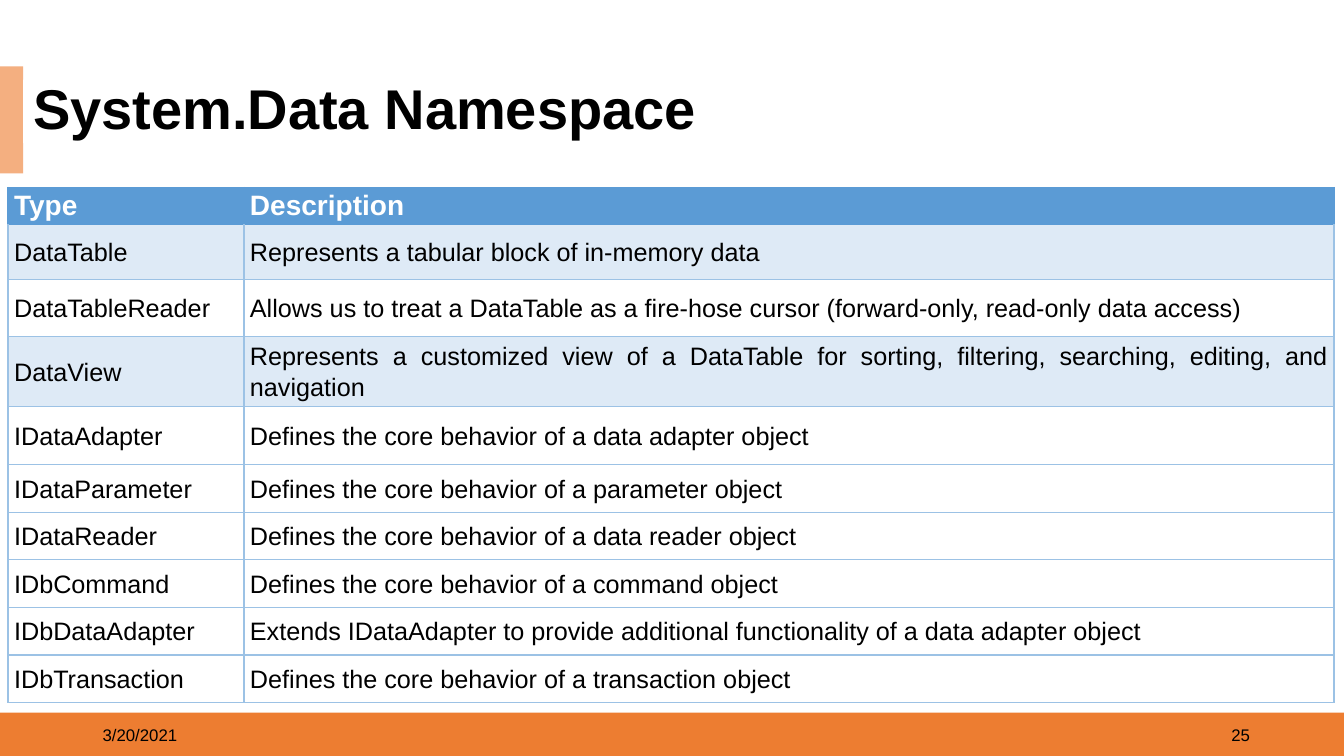
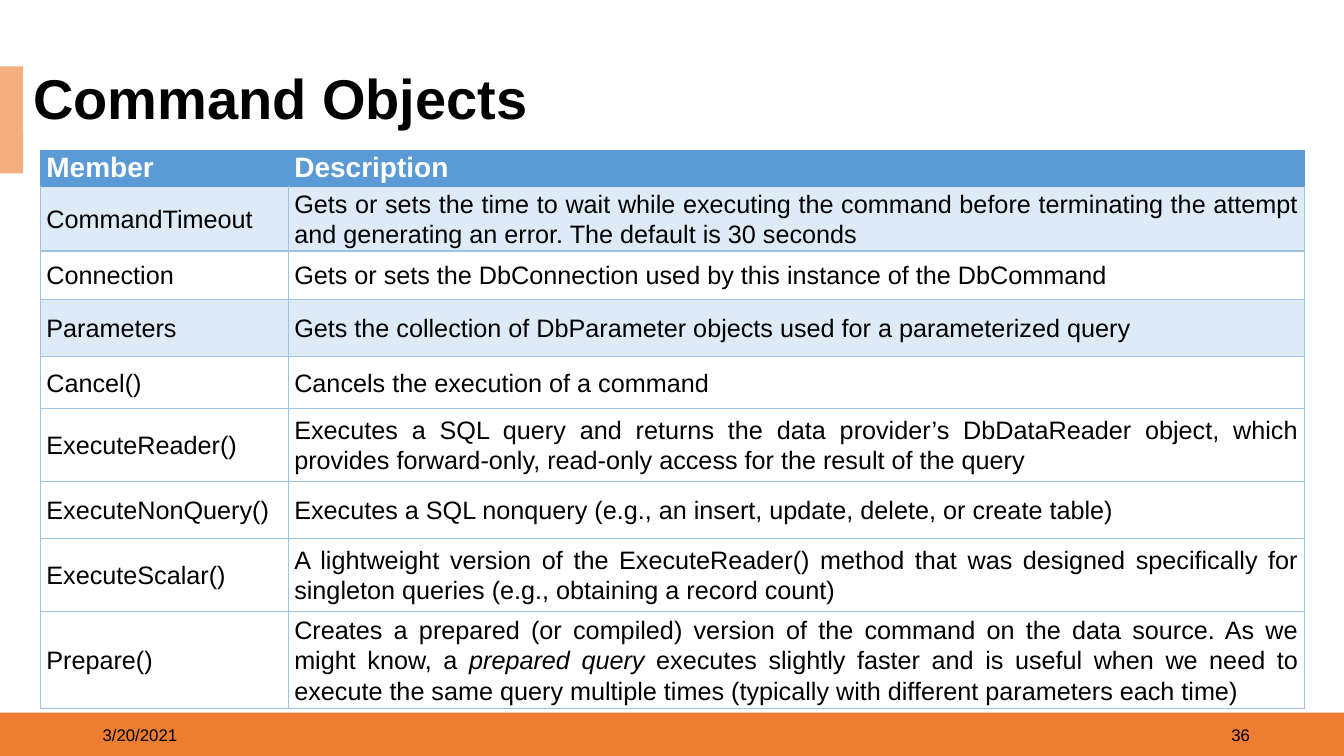
from dataclasses import dataclass

from lxml import etree
from pptx import Presentation
from pptx import util as u
from pptx.dml.color import RGBColor
from pptx.enum import shapes, text
from pptx.oxml import ns


@dataclass(frozen=True)
class Theme:
    font: str = "Arial"
    band: str = "ED7D31"
    accent: str = "F4AF80"
    header: str = "5B9BD5"
    shaded: str = "DEEAF6"
    border: str = "9CC2E5"
    light: str = "FFFFFF"
    dark: str = "000000"
    title_size: int = 40
    header_size: int = 20
    body_size: int = 18
    footer_size: int = 12
    shaded_rows: tuple = (1, 3)


theme = Theme()
presentation = Presentation()
presentation.slide_width = u.Inches(13.33)
presentation.slide_height = u.Inches(7.5)

# All lengths are percentages of the slide's width or height
column = presentation.slide_width / 100
row_unit = presentation.slide_height / 100

# Slide content: row height, name, description (asterisks enclose italics)
pages = [
    dict(
        title="System.Data Namespace", title_top=10.53, number="25",
        left=0.6, top=24.8, widths=(17.55, 81.1),
        rows=[
            (4.93, "Type", "Description"),
            (7.2, "DataTable", "Represents a tabular block of in-memory data"),
            (7.6, "DataTableReader", "Allows us to treat a DataTable as a fire-hose cursor "
             "(forward-only, read-only data access)"),
            (9.2, "DataView", "Represents a customized view of a DataTable for sorting, "
             "filtering, searching, editing, and navigation"),
            (7.73, "IDataAdapter", "Defines the core behavior of a data adapter object"),
            (6.3, "IDataParameter", "Defines the core behavior of a parameter object"),
            (6.3, "IDataReader", "Defines the core behavior of a data reader object"),
            (6.3, "IDbCommand", "Defines the core behavior of a command object"),
            (6.3, "IDbDataAdapter", "Extends IDataAdapter to provide additional "
             "functionality of a data adapter object"),
            (6.3, "IDbTransaction", "Defines the core behavior of a transaction object"),
        ],
    ),
    dict(
        title="Command Objects", title_top=9.2, number="36",
        left=3, top=19.87, widths=(18.45, 75.6),
        rows=[
            (3.33, "Member", "Description"),
            (5.2, "CommandTimeout", "Gets or sets the time to wait while executing the command "
             "before terminating the attempt and generating an error. "
             "The default is 30 seconds"),
            (6.4, "Connection", "Gets or sets the DbConnection used by this instance of "
             "the DbCommand"),
            (7.6, "Parameters", "Gets the collection of DbParameter objects used for "
             "a parameterized query"),
            (6.8, "Cancel()", "Cancels the execution of a command"),
            (9.73, "ExecuteReader()", "Executes a SQL query and returns the data provider’s "
             "DbDataReader object, which provides forward-only, read-only access "
             "for the result of the query"),
            (7.47, "ExecuteNonQuery()", "Executes a SQL nonquery (e.g., an insert, update, "
             "delete, or create table)"),
            (9.73, "ExecuteScalar()", "A lightweight version of the ExecuteReader() method that "
             "was designed specifically for singleton queries "
             "(e.g., obtaining a record count)"),
            (4.67, "Prepare()", "Creates a prepared (or compiled) version of the command on the "
             "data source. As we might know, a *prepared query* executes slightly faster "
             "and is useful when we need to execute the same query multiple times "
             "(typically with different parameters each time)"),
        ],
    ),
]


def add_box(slide, left, top, width, height, fill=None):
    """Add a plain rectangle, or a text box when no fill is given."""
    area = [int(n) for n in (left * column, top * row_unit, width * column, height * row_unit)]
    if fill is None:
        shape = slide.shapes.add_textbox(*area)
    else:
        shape = slide.shapes.add_shape(shapes.MSO_SHAPE.RECTANGLE, *area)
        shape.shadow.inherit = False
        shape.fill.solid()
        shape.fill.fore_color.rgb = RGBColor.from_string(fill)
        shape.line.fill.background()
    shape.text_frame.word_wrap = True
    shape.text_frame.vertical_anchor = text.MSO_ANCHOR.MIDDLE
    return shape


def write(paragraph, content, size, color, bold, align):
    """Fill a paragraph; parts between asterisks become italic."""
    for index, part in enumerate(content.split("*")):
        run = paragraph.add_run()
        run.text = part
        if index % 2:
            run.font.italic = True
    paragraph.alignment = align
    paragraph.font.name = theme.font
    paragraph.font.size = u.Pt(size)
    paragraph.font.bold = bold
    paragraph.font.color.rgb = RGBColor.from_string(color)


for page in pages:
    slide = presentation.slides.add_slide(presentation.slide_layouts[6])

    # Bottom band and title accent
    add_box(slide, 0, 94.27, 100, 5.73, theme.band)
    add_box(slide, 0, 8.8, 1.73, 14.13, theme.accent)

    # Date and slide number
    for left, content, align in (
        (6.9, "3/20/2021", text.PP_ALIGN.LEFT),
        (71.25, page["number"], text.PP_ALIGN.RIGHT),
    ):
        footer = add_box(slide, left, 94.53, 22.5, 5.33)
        write(footer.text_frame.paragraphs[0], content, theme.footer_size, theme.dark, False, align)

    # Title
    title = add_box(slide, 1.73, page["title_top"], 76, 8.4, theme.light)
    paragraph = title.text_frame.paragraphs[0]
    write(paragraph, page["title"], theme.title_size, theme.dark, True, text.PP_ALIGN.LEFT)
    paragraph.line_spacing = 0.9

    # Table grid
    rows, widths = page["rows"], page["widths"]
    table = slide.shapes.add_table(
        len(rows), len(widths),
        int(page["left"] * column), int(page["top"] * row_unit),
        int(sum(widths) * column), int(sum(row[0] for row in rows) * row_unit),
    ).table
    for table_column, width in zip(table.columns, widths):
        table_column.width = int(width * column)

    # Table cells
    for row_index, (height, *contents) in enumerate(rows):
        table.rows[row_index].height = int(height * row_unit)
        is_header = row_index == 0
        for column_index, content in enumerate(contents):
            cell = table.cell(row_index, column_index)
            cell.margin_left = cell.margin_right = u.Inches(0.06)
            cell.margin_top = cell.margin_bottom = 0
            cell.vertical_anchor = text.MSO_ANCHOR.TOP if is_header else text.MSO_ANCHOR.MIDDLE
            if is_header or row_index in theme.shaded_rows:
                cell.fill.solid()
                cell.fill.fore_color.rgb = RGBColor.from_string(
                    theme.header if is_header else theme.shaded)
            else:
                cell.fill.background()

            paragraph = cell.text_frame.paragraphs[0]
            write(paragraph, content,
                  theme.header_size if is_header else theme.body_size,
                  theme.light if is_header else theme.dark,
                  is_header, text.PP_ALIGN.JUSTIFY)
            paragraph.line_spacing = 1.07

            # Borders precede the fill in the cell properties
            properties = cell._tc.get_or_add_tcPr()
            for position, side in enumerate(("lnL", "lnR", "lnT", "lnB")):
                blue = is_header or (row_index == 1 and side == "lnT")
                line = etree.Element(ns.qn(f"a:{side}"), w=str(u.Pt(1)))
                fill = etree.SubElement(line, ns.qn("a:solidFill"))
                etree.SubElement(fill, ns.qn("a:srgbClr"),
                                 val=theme.header if blue else theme.border)
                properties.insert(position, line)

presentation.save("out.pptx")
